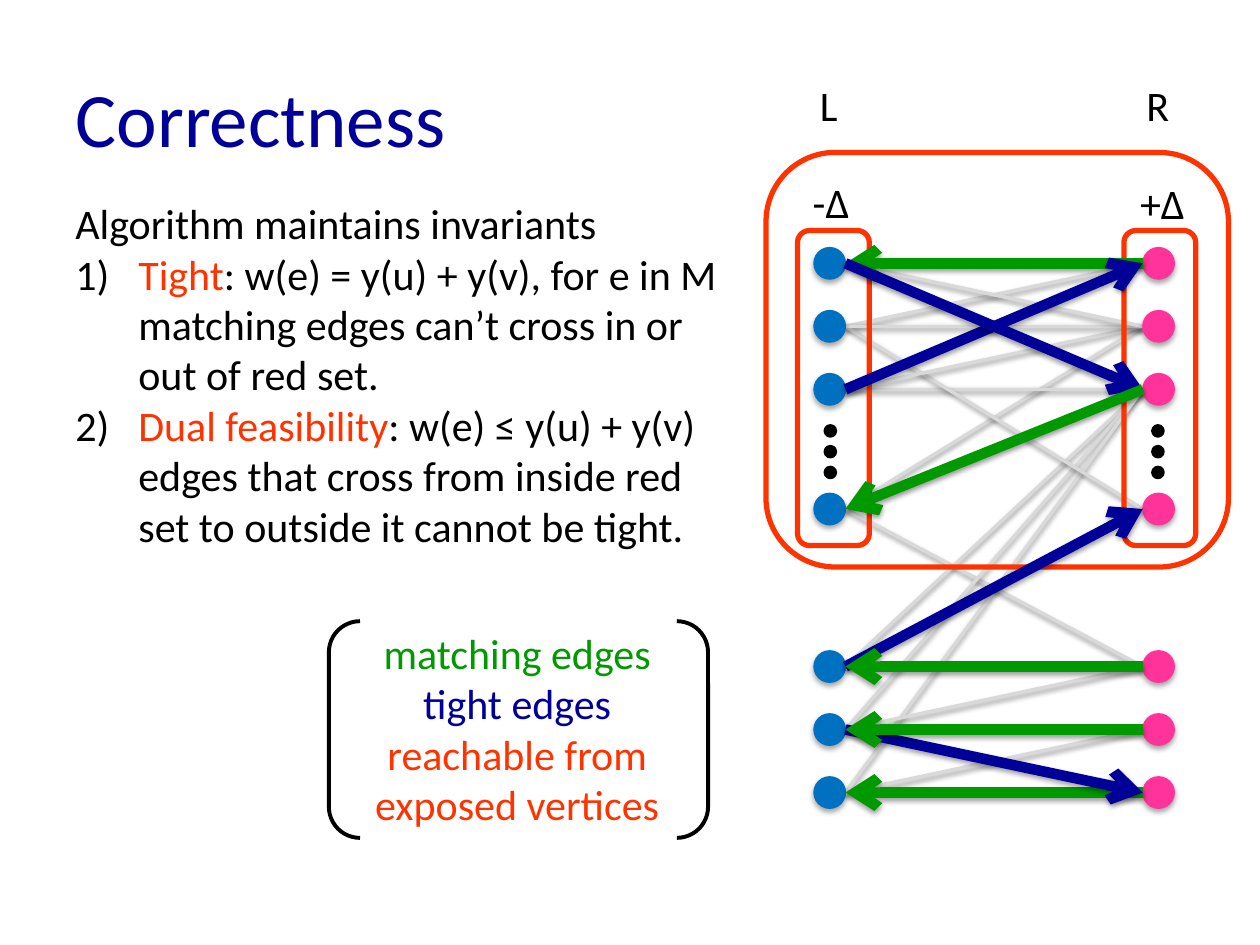
import pptx
import pptx.util
import pptx.dml.color
import pptx.enum.shapes
import pptx.enum.text
import pptx.oxml.ns
from lxml import etree

Inches = pptx.util.Inches
Pt = pptx.util.Pt
qn = pptx.oxml.ns.qn
SHAPE = pptx.enum.shapes.MSO_SHAPE
ALIGN = pptx.enum.text.PP_ALIGN
AUTO_SIZE = pptx.enum.text.MSO_AUTO_SIZE

FONT = "Calibri"
COLORS = {
    "black": "000000", "navy": "000099", "red": "FF3300", "green": "009900",
    "gray": "D9D9D9", "blue": "0070C0", "pink": "FF3399",
}
ROWS = [2.09, 2.59, 3.09, 4.04, 5.29, 5.79, 6.29]
LEFT_EDGE, RIGHT_EDGE = 6.71, 9.07
VERTEX = 0.25
# Edges are pairs of row numbers: left vertex, right vertex.
PLAIN_EDGES = [(3, 4), (1, 0), (4, 2), (3, 1), (5, 2), (6, 2), (2, 2),
               (5, 4), (6, 5), (1, 3), (2, 1), (1, 1), (0, 1)]
MATCHING, TIGHT = ("green", "headEnd"), ("navy", "tailEnd")
ARROWS = [(6, 6, MATCHING), (5, 6, TIGHT), (5, 5, MATCHING), (0, 0, MATCHING),
          (2, 0, TIGHT), (0, 2, TIGHT), (3, 2, MATCHING), (4, 3, TIGHT),
          (4, 4, MATCHING)]


def rgb(name):
    """Return the named colour."""
    return pptx.dml.color.RGBColor.from_string(COLORS[name])


def add_span(para, text, color="black", size=24):
    """Add a formatted run to a paragraph."""
    span = para.add_run()
    span.text = text
    span.font.name = FONT
    span.font.size = Pt(size)
    span.font.color.rgb = rgb(color)


def number_para(para):
    """Give a paragraph an automatic number and a hanging indent."""
    properties = para._p.get_or_add_pPr()
    properties.set("marL", str(Inches(0.5)))
    properties.set("indent", str(-Inches(0.5)))
    bullet_color = etree.SubElement(properties, qn("a:buClr"))
    etree.SubElement(bullet_color, qn("a:srgbClr"), val=COLORS["black"])
    etree.SubElement(properties, qn("a:buFont"), typeface="+mj-lt")
    etree.SubElement(properties, qn("a:buAutoNum"), type="arabicParenR")


def add_text(shapes, bounds, paras, align=ALIGN.LEFT, wrap=True, numbered=()):
    """Add a text box; each paragraph lists (text, colour) spans, None breaks."""
    box = shapes.add_textbox(*map(Inches, bounds))
    frame = box.text_frame
    frame.word_wrap = wrap
    frame.auto_size = AUTO_SIZE.SHAPE_TO_FIT_TEXT
    for index, spans in enumerate(paras):
        para = frame.add_paragraph() if index else frame.paragraphs[0]
        para.alignment = align
        if index in numbered:
            number_para(para)
        for span in spans:
            if span is None:
                para.add_line_break()
            else:
                add_span(para, *span)


def cast_shadow(effects, opacity, distance):
    """Put a soft downward shadow in an effect list."""
    shadow = etree.SubElement(
        effects, qn("a:outerShdw"), blurRad=str(Pt(3.1)),
        dist=str(Pt(distance)), dir="5400000", rotWithShape="0")
    color = etree.SubElement(shadow, qn("a:srgbClr"), val=COLORS["black"])
    etree.SubElement(color, qn("a:alpha"), val=str(opacity * 1000))


def add_outline(shapes, kind, bounds, color, width, fill=None):
    """Add a preset shape with an outline and an optional fill."""
    shape = shapes.add_shape(kind, *map(Inches, bounds))
    shape.shadow.inherit = False
    if fill:
        shape.fill.solid()
        shape.fill.fore_color.rgb = rgb(fill)
    else:
        shape.fill.background()
    shape.line.color.rgb = rgb(color)
    shape.line.width = Pt(width)
    return shape


def add_vertex(shapes, left, center, color):
    """Add a round graph vertex with a shadow."""
    bounds = (left, center - VERTEX / 2, VERTEX, VERTEX)
    vertex = add_outline(shapes, SHAPE.OVAL, bounds, color, 0.75, color)
    cast_shadow(vertex._element.spPr.find(qn("a:effectLst")), 35, 1.8)


def add_edge(shapes, left_row, right_row, color, width, arrow_end=None):
    """Connect a left vertex to a right one, with an optional arrowhead."""
    edge = shapes.add_connector(
        pptx.enum.shapes.MSO_CONNECTOR.STRAIGHT,
        Inches(LEFT_EDGE), Inches(ROWS[left_row]),
        Inches(RIGHT_EDGE), Inches(ROWS[right_row]))
    edge.line.color.rgb = rgb(color)
    edge.line.width = Pt(width)
    properties = edge._element.spPr
    if arrow_end:
        etree.SubElement(properties.find(qn("a:ln")), qn("a:" + arrow_end),
                         type="arrow")
    cast_shadow(etree.SubElement(properties, qn("a:effectLst")), 38, 1.6)


def add_title(page, text):
    """Place and format the title."""
    title = page.shapes.title
    title.left, title.top = Inches(0.5), Inches(0.3)
    title.width, title.height = Inches(9), Inches(1.25)
    frame = title.text_frame
    frame.vertical_anchor = pptx.enum.text.MSO_ANCHOR.MIDDLE
    frame.auto_size = AUTO_SIZE.NONE
    frame.paragraphs[0].alignment = ALIGN.LEFT
    add_span(frame.paragraphs[0], text, "navy", 44)


def add_legend(page):
    """Add the bracketed key to the edge colours."""
    shapes = page.shapes.add_group_shape().shapes
    add_text(shapes, (2.46, 4.93, 3.29, 1.72),
             [[("matching edges", "green")], [("tight edges", "navy")],
              [("reachable from exposed vertices", "red")]], ALIGN.CENTER)
    bracket = add_outline(shapes, SHAPE.DOUBLE_BRACKET,
                          (2.61, 4.93, 3.01, 1.72), "black", 2.25)
    bracket.adjustments[0] = 0.144


def add_dots(page, left):
    """Add a vertical ellipsis."""
    shapes = page.shapes.add_group_shape().shapes
    for step in range(3):
        bounds = (left, 3.38 + step * 0.165, 0.08, 0.08)
        add_outline(shapes, SHAPE.OVAL, bounds, "black", 2, "black")


def add_graph(page):
    """Add the bipartite graph with its labels and red sets."""
    shapes = page.shapes
    for left_row, right_row in PLAIN_EDGES:
        add_edge(shapes, left_row, right_row, "gray", 2)
    for left, color in ((LEFT_EDGE - VERTEX, "blue"), (RIGHT_EDGE, "pink")):
        for center in ROWS:
            add_vertex(shapes, left, center, color)
    add_text(shapes, (6.41, 0.58, 0.34, 0.5), [[("L",)]], wrap=False)
    add_text(shapes, (9, 0.58, 0.38, 0.5), [[("R",)]], wrap=False)
    for bounds in ((6.08, 1.21, 3.67, 3.29), (6.33, 1.83, 0.57, 2.5),
                   (8.92, 1.83, 0.57, 2.5)):
        add_outline(shapes, SHAPE.ROUNDED_RECTANGLE, bounds, "red", 3)
    add_text(shapes, (6.24, 1.35, 0.71, 0.5), [[("-Δ",)]], ALIGN.CENTER)
    add_text(shapes, (8.95, 1.36, 0.71, 0.5), [[("+Δ",)]])
    for left_row, right_row, (color, arrow_end) in ARROWS:
        add_edge(shapes, left_row, right_row, color, 6, arrow_end)
    for left in (6.55, 9.15):
        add_dots(page, left)


def main():
    """Build and save the slide."""
    deck = pptx.Presentation()
    deck.slide_width, deck.slide_height = Inches(10), Inches(7.5)
    page = deck.slides.add_slide(deck.slide_layouts.get_by_name("Title Only"))
    add_title(page, "Correctness")
    add_text(page.shapes, (0.5, 1.52, 5.47, 2.93), [
        [("Algorithm maintains invariants",)],
        [("Tight", "red"),
         (": w(e) = y(u) + y(v), for e in M matching edges can’t cross "
          "in or out of red set.",)],
        [("Dual feasibility", "red"), (": w(e) ≤ y(u) + y(v) ",), None,
         ("edges that cross from inside red set to outside it cannot "
          "be tight.",)],
    ], numbered=(1, 2))
    add_graph(page)
    add_legend(page)
    deck.save("out.pptx")


main()
